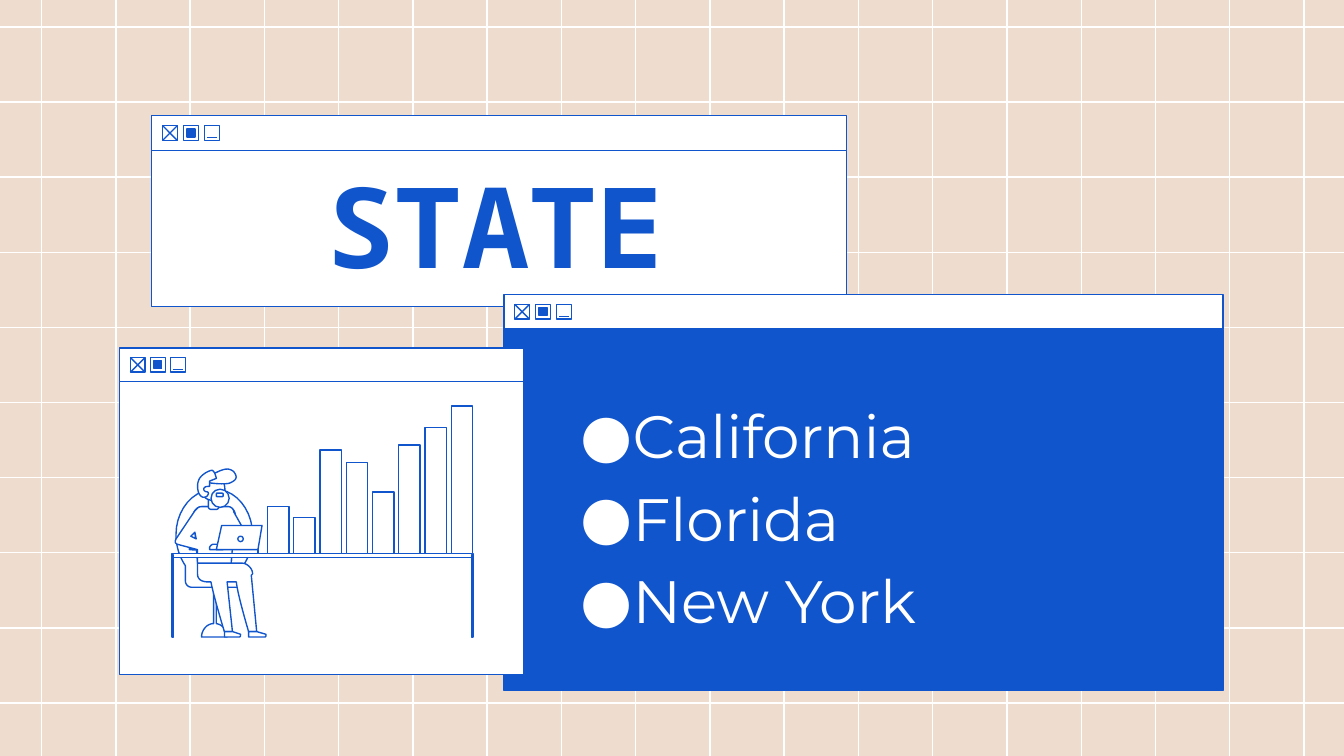
from dataclasses import dataclass

from lxml.etree import SubElement
from pptx import Presentation
from pptx.dml.color import RGBColor
from pptx.enum.shapes import MSO_CONNECTOR, MSO_SHAPE
from pptx.enum.text import MSO_ANCHOR, PP_ALIGN
from pptx.oxml.ns import qn
from pptx.util import Inches, Pt


@dataclass(frozen=True)
class Theme:
    sand: RGBColor = RGBColor(0xEE, 0xDC, 0xCE)
    white: RGBColor = RGBColor(0xFF, 0xFF, 0xFF)
    blue: RGBColor = RGBColor(0x11, 0x55, 0xCC)
    title_font: str = "Noto Sans Mono"
    body_font: str = "Montserrat"
    title_size: int = 60
    body_size: int = 32
    stroke: float = 0.75


@dataclass(frozen=True)
class Box:
    left: float
    top: float
    width: float
    height: float

    def at(self, left, top, width, height):
        return Box(self.left + left, self.top + top, width, height)

    def share(self, left, top, width, height):
        return self.at(left * self.width, top * self.height,
                       width * self.width, height * self.height)

    def emu(self):
        return [grid(n) for n in (self.left, self.top, self.width, self.height)]


THEME = Theme()
SLIDE_WIDTH = Inches(10)
COLUMNS, ROWS = 1000, 562.5
CURVE_STEPS = 10

STOOL = """M 60 64 C 44 64 31 79 31 98 C 31 107 34 115 38 121 C 38 121 38 122 38 123
L 38 132 C 38 135 40 137 43 137 L 59 137 L 59 164 C 54 164 50 169 50 174 L 69 174
C 69 169 66 165 61 164 L 61 137 L 77 137 C 79 137 82 135 82 132 L 82 123
C 82 122 81 121 81 121 C 85 115 88 107 88 98 C 88 79 75 64 60 64"""
CHEST = "M 50 77 C 47 77 44 80 44 83 L 47 119 L 72 119 L 75 83 C 75 80 73 78 70 77"
LEGS = """M 47 119 L 47 127 C 47 131 50 133 55 133 L 57 133 C 59 144 67 170 67 170
L 73 170 L 69 133 L 76 133 L 76 134 C 77 143 85 170 85 170 L 91 170 L 87 128
C 87 128 88 127 88 127 C 88 123 84 119 80 119"""
RIGHT_SHOE = "M 85 170 L 85 174 L 97 174 C 98 174 98 173 98 172 L 91 170"
LEFT_SHOE = "M 67 170 L 67 174 L 78 174 C 79 174 79 173 79 172 L 73 170"
FOREARM = "M 45 100 L 44 101 L 59 106 L 59 105"
CUFF = "M 41 108 L 41 109 L 58 110"
LAPTOP_BASE = "M 54 109 L 54 113 L 92 113 L 92 109"
SHIRT = """M 45 96 L 46 101 L 42 99 L 45 96 M 50 77 C 48 77 47 78 46 79
C 46 79 45 80 45 80 L 31 101 C 30 103 30 104 32 105 L 47 109 L 47 119 L 72 119
L 74 96 L 83 97 L 74 81 C 74 79 72 77 70 77"""
HAND = "M 59 105 C 58 105 56 106 56 108 L 56 109 L 66 109 L 66 105"
LAPTOP_LID = "M 65 91 L 61 109 L 92 109 L 95 91"
NECK = """M 57 70 C 56 70 55 71 55 72 L 55 77 C 55 78 56 79 57 79 L 61 79
C 62 79 63 78 63 77 L 63 72 C 63 71 62 70 61 70"""
FACE = """M 59 53 C 54 53 50 56 49 60 C 48 65 51 71 56 72 C 58 73 60 73 62 73
C 64 73 66 72 67 69 C 68 64 67 55 62 54 C 61 54 61 53 61 53"""
QUIFF = """M 69 49 C 66 49 62 51 58 53 C 57 55 55 57 54 59 C 54 59 60 60 65 60
C 68 60 70 60 72 59 C 76 57 77 55 74 51 C 73 50 71 49 69 49"""
HAIR = """M 58 50 C 55 50 49 54 48 57 C 46 61 47 69 51 70 C 51 70 51 70 52 70
C 55 70 56 66 54 66 C 52 66 51 64 52 63 C 53 62 54 62 55 62 C 55 62 56 62 56 62
C 56 62 56 58 56 58 L 61 56 C 61 56 60 51 58 50"""
BODY = [STOOL, CHEST, LEGS, RIGHT_SHOE, LEFT_SHOE, FOREARM, CUFF, LAPTOP_BASE, SHIRT]
DESK = [(28, 112, 224, 3), (251, 113, 1, 61), (28, 113, 1, 61)]
BAR_HEIGHTS = [35, 27, 77, 68, 46, 81, 94, 110]


def grid(units):
    return round(units * SLIDE_WIDTH / COLUMNS)


def style(shape, fill):
    shape.shadow.inherit = False
    if fill is None:
        shape.fill.background()
    else:
        shape.fill.solid()
        shape.fill.fore_color.rgb = fill
    shape.line.color.rgb = THEME.blue
    shape.line.width = Pt(THEME.stroke)


def draw_shape(page, box, fill=None, kind=MSO_SHAPE.RECTANGLE):
    style(page.shapes.add_shape(kind, *box.emu()), fill)


def draw_line(page, start, end, color):
    line = page.shapes.add_connector(
        MSO_CONNECTOR.STRAIGHT, *[grid(n) for n in (*start, *end)])
    line.line.color.rgb = color
    line.line.width = Pt(THEME.stroke)
    SubElement(line._element.spPr, qn("a:effectLst"))


def bezier(points, t):
    while len(points) > 1:
        points = [(a + (c - a) * t, b + (d - b) * t)
                  for (a, b), (c, d) in zip(points, points[1:])]
    return points[0]


def trace(outline):
    contours = []
    tokens = iter(outline.split())
    for command in tokens:
        count = 3 if command == "C" else 1
        points = [(int(next(tokens)), int(next(tokens))) for _ in range(count)]
        if command == "M":
            contours.append(points)
        elif command == "L":
            contours[-1] += points
        else:
            curve = [contours[-1][-1], *points]
            contours[-1] += [bezier(curve, step / CURVE_STEPS)
                             for step in range(1, CURVE_STEPS + 1)]
    return contours


def draw_outline(page, box, outline):
    contours = [[(grid(box.left + x), grid(box.top + y)) for x, y in contour]
                for contour in trace(outline)]
    builder = page.shapes.build_freeform(*contours[0][0])
    for index, contour in enumerate(contours):
        if index:
            builder.move_to(*contour[0])
        builder.add_line_segments(contour[1:], close=True)
    style(builder.convert_to_shape(), THEME.white)


def draw_background(page, box):
    page.background.fill.solid()
    page.background.fill.fore_color.rgb = THEME.sand
    for column in range(18):
        x = box.left + 31 + 55.25 * column
        draw_line(page, (x, box.top), (x, box.top + box.height), THEME.white)
    for row in range(10):
        y = box.top + 20 + 55.9 * row
        draw_line(page, (box.left, y), (box.left + box.width, y), THEME.white)


def draw_window(page, box, bar_height, fill):
    body = box.at(0, bar_height, box.width, box.height - bar_height)
    draw_shape(page, body, fill)
    draw_shape(page, box.at(0, 0, box.width, bar_height), THEME.white)
    size = 11
    close, zoom, shrink = [
        box.at(8 + 0.6 * bar_height * index, (bar_height - size) / 2, size, size)
        for index in range(3)]
    for button in (close, zoom, shrink):
        draw_shape(page, button)
    right, bottom = close.left + size, close.top + size
    draw_line(page, (close.left, close.top), (right, bottom), THEME.blue)
    draw_line(page, (right, close.top), (close.left, bottom), THEME.blue)
    draw_shape(page, zoom.at(2.5, 2.5, 6, 6), THEME.blue)
    y = shrink.top + 9
    draw_line(page, (shrink.left + 2, y), (shrink.left + 9, y), THEME.blue)
    return body


def add_text(page, box, lines, font, size, color, bold=False):
    frame = page.shapes.add_textbox(*box.emu()).text_frame
    frame.word_wrap = True
    frame.vertical_anchor = MSO_ANCHOR.MIDDLE
    frame.margin_left = frame.margin_right = Inches(0.1)
    frame.margin_top = frame.margin_bottom = Inches(0.1)
    frame.text = "\n".join(lines)
    for para in frame.paragraphs:
        for span in para.runs:
            span.font.name = font
            span.font.size = Pt(size)
            span.font.bold = bold
            span.font.color.rgb = color
    return frame


def add_title(page, box, title):
    frame = add_text(page, box, [title], THEME.title_font, THEME.title_size,
                     THEME.blue, bold=True)
    frame.paragraphs[0].alignment = PP_ALIGN.CENTER


def add_list(page, box, items):
    frame = add_text(page, box, items, THEME.body_font, THEME.body_size, THEME.white)
    for index, para in enumerate(frame.paragraphs):
        para.line_spacing = 1.15 if index else 1.0
        props = para._p.get_or_add_pPr()
        props.set("marL", str(Inches(0.5)))
        props.set("indent", str(Inches(-0.35)))
        color = SubElement(props, qn("a:buClr"))
        SubElement(color, qn("a:srgbClr"), val=str(THEME.white))
        SubElement(props, qn("a:buFont"), typeface=THEME.body_font)
        SubElement(props, qn("a:buChar"), char="●")


def draw_office(page, box):
    for outline in BODY:
        draw_outline(page, box, outline)
    for part in DESK:
        draw_shape(page, box.at(*part), THEME.white)
    for outline in (HAND, LAPTOP_LID):
        draw_outline(page, box, outline)
    draw_shape(page, box.at(77, 99, 4, 4), THEME.white, MSO_SHAPE.OVAL)
    for outline in (NECK, FACE, QUIFF):
        draw_outline(page, box, outline)
    draw_shape(page, box.at(57, 64, 13.5, 13.5), THEME.white, MSO_SHAPE.OVAL)
    draw_shape(page, box.at(61, 67, 5, 2.5), THEME.white, MSO_SHAPE.ROUNDED_RECTANGLE)
    for index, height in enumerate(BAR_HEIGHTS):
        bar = box.at(99 + 19.55 * index, 112 - height, 16, height)
        draw_shape(page, bar, THEME.white)
    draw_outline(page, box, HAIR)


def main():
    deck = Presentation()
    deck.slide_width, deck.slide_height = SLIDE_WIDTH, grid(ROWS)
    page = deck.slides.add_slide(deck.slide_layouts[6])
    draw_background(page, Box(0, 0, COLUMNS, ROWS))
    title_body = draw_window(page, Box(113, 86, 517, 142), 26, THEME.white)
    list_body = draw_window(page, Box(375, 219, 535, 295), 26, THEME.blue)
    add_title(page, title_body.share(0.04, 0.09, 0.91, 0.76), "STATE")
    add_list(page, list_body.share(0.06, 0.1, 0.89, 0.84),
             ["California", "Florida", "New York"])
    office_body = draw_window(page, Box(89, 259, 301, 243), 25, THEME.white)
    draw_office(page, office_body.at(11, 16, 280, 190))
    deck.save("out.pptx")


if __name__ == "__main__":
    main()
